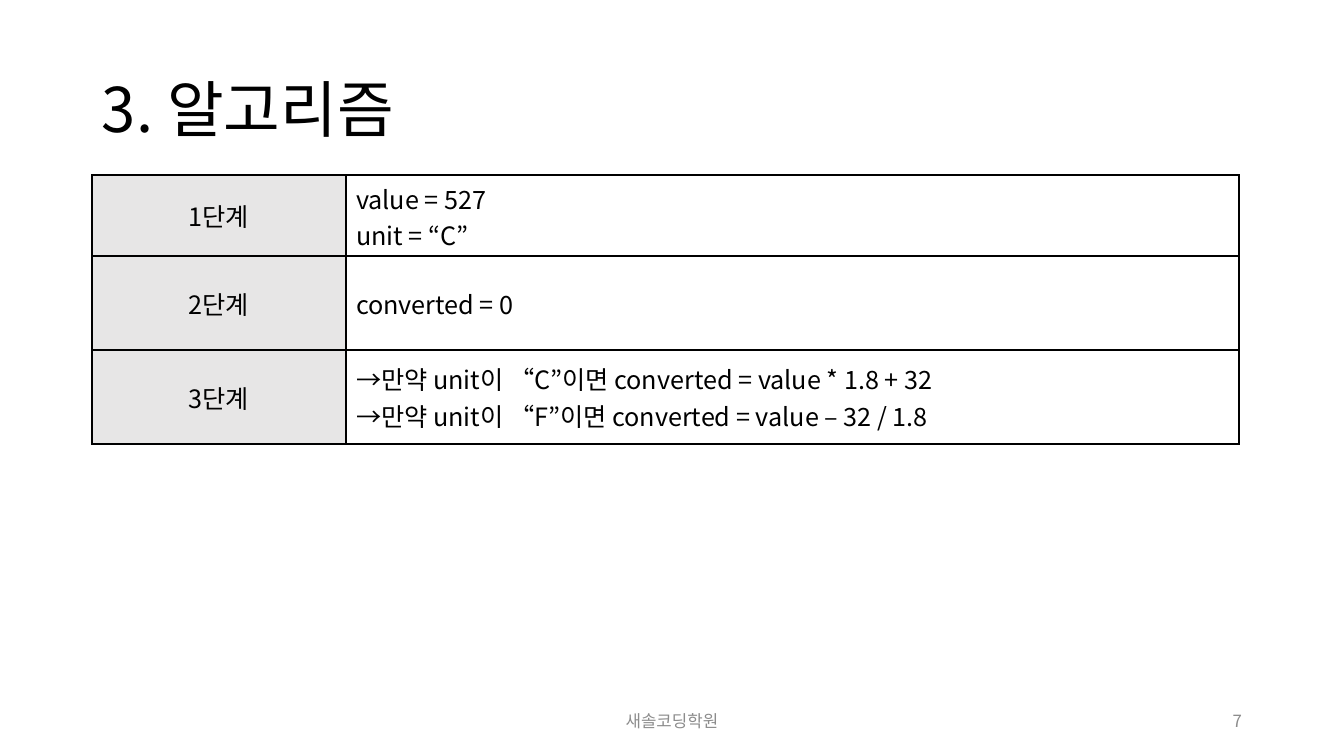
from lxml import etree
from pptx import Presentation
from pptx.dml.color import RGBColor
from pptx.enum.text import MSO_ANCHOR, PP_ALIGN
from pptx.oxml.ns import qn
from pptx.util import Pt

EMU_PER_PIXEL = 914400 / 100.8
FONT = "Noto Sans CJK KR"
BLACK, GRAY, LABEL_FILL = "000000", "8C8C8C", "E7E6E6"
LEFT, CENTER, RIGHT = PP_ALIGN.LEFT, PP_ALIGN.CENTER, PP_ALIGN.RIGHT
MIDDLE = MSO_ANCHOR.MIDDLE

STEPS = [
    ("1단계", ["value = 527", "unit = “C”"]),
    ("2단계", ["converted = 0"]),
    ("3단계", [
        "→만약 unit이 “C”이면 converted = value * 1.8 + 32",
        "→만약 unit이 “F”이면 converted = value – 32 / 1.8",
    ]),
]


def px(length):
    return round(length * EMU_PER_PIXEL)


def color(value):
    return RGBColor.from_string(value)


def write_lines(text_frame, lines, size, text_color, align, spacing=1.0):
    for index, line in enumerate(lines):
        paragraph = text_frame.paragraphs[0] if index == 0 else text_frame.add_paragraph()
        paragraph.alignment = align
        paragraph.line_spacing = spacing
        run = paragraph.add_run()
        run.text = line
        run.font.size = Pt(size)
        run.font.name = FONT
        run.font.color.rgb = color(text_color)
        east_asian = etree.SubElement(run.font._element, qn("a:ea"))
        east_asian.set("typeface", FONT)


def add_text(slide, box, text, size, text_color, align, spacing=1.0):
    shape = slide.shapes.add_textbox(*map(px, box))
    text_frame = shape.text_frame
    text_frame.word_wrap = True
    text_frame.vertical_anchor = MIDDLE
    write_lines(text_frame, [text], size, text_color, align, spacing)


def add_borders(cell):
    properties = cell._tc.get_or_add_tcPr()
    for side in ("a:lnL", "a:lnR", "a:lnT", "a:lnB"):
        line = etree.SubElement(properties, qn(side), w=str(Pt(1)))
        fill = etree.SubElement(line, qn("a:solidFill"))
        etree.SubElement(fill, qn("a:srgbClr"), val=BLACK)


def fill_cell(cell, lines, align, fill_color=None):
    cell.vertical_anchor = MIDDLE
    add_borders(cell)
    if fill_color:
        cell.fill.solid()
        cell.fill.fore_color.rgb = color(fill_color)
    else:
        cell.fill.background()
    write_lines(cell.text_frame, lines, 18, BLACK, align)


def add_step_table(slide, box, label_width, row_heights):
    frame = slide.shapes.add_table(len(STEPS), 2, *map(px, box))
    table = frame.table
    table.first_row = False
    table.horz_banding = False
    table.columns[0].width = px(label_width)
    table.columns[1].width = px(box[2] - label_width)
    for row, height, (label, lines) in zip(table.rows, row_heights, STEPS):
        row.height = px(height)
        fill_cell(row.cells[0], [label], CENTER, LABEL_FILL)
        fill_cell(row.cells[1], lines, LEFT)


def add_footer(slide, box):
    left, top, width, height = box
    center_width, number_width = 454, 302
    center_left = left + (width - center_width) / 2
    number_left = left + width - number_width
    add_text(slide, (center_left, top, center_width, height), "새솔코딩학원", 12, GRAY, CENTER)
    add_text(slide, (number_left, top, number_width, height), "7", 12, GRAY, RIGHT)


def build_algorithm_slide(presentation):
    slide = presentation.slides.add_slide(presentation.slide_layouts[6])
    add_text(slide, (92, 40, 1160, 146), "3. 알고리즘", 44, BLACK, LEFT, 0.9)
    add_step_table(slide, (92, 175, 1147, 269), 254, (81, 94, 94))
    add_footer(slide, (92, 701, 1160, 40))


presentation = Presentation()
presentation.slide_width = px(1344)
presentation.slide_height = px(756)
build_algorithm_slide(presentation)
presentation.save("out.pptx")
